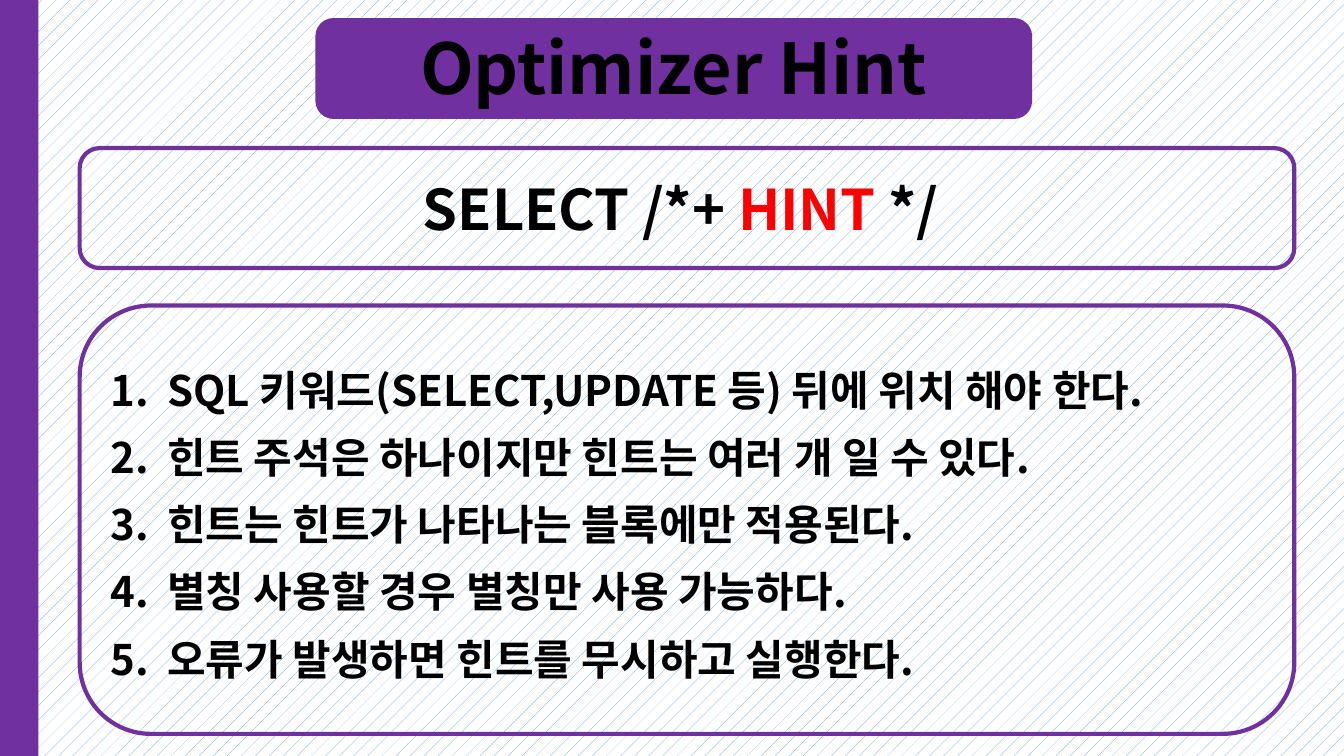
from dataclasses import dataclass
from typing import Optional

from lxml.etree import SubElement
from pptx import Presentation
from pptx.dml.color import RGBColor
from pptx.enum.dml import MSO_PATTERN
from pptx.enum.shapes import MSO_SHAPE as Preset
from pptx.enum.text import MSO_ANCHOR as Anchor, MSO_AUTO_SIZE as AutoSize, PP_ALIGN as Align
from pptx.oxml.ns import qn
from pptx.util import Pt

FONT = "Noto Sans CJK KR"
PURPLE, BLACK, RED = "7030A0", "000000", "FF0000"
PANEL_LEFT, PANEL_WIDTH = 56.9, 867.6
LIST_INDENT = 40.5
RULES = [
    "SQL 키워드(SELECT,UPDATE 등) 뒤에 위치 해야 한다.",
    "힌트 주석은 하나이지만 힌트는 여러 개 일 수 있다.",
    "힌트는 힌트가 나타나는 블록에만 적용된다.",
    "별칭 사용할 경우 별칭만 사용 가능하다.",
    "오류가 발생하면 힌트를 무시하고 실행한다.",
]


@dataclass
class Panel:
    left: float
    top: float
    width: float
    height: float
    preset: Preset = Preset.ROUNDED_RECTANGLE
    fill: Optional[str] = None
    line: Optional[str] = PURPLE


SIDEBAR = Panel(0, 0, 27.4, 540, Preset.RECTANGLE, PURPLE, None)
TITLE = Panel(226.8, 14.4, 509, 69.1, fill=PURPLE)
SYNTAX = Panel(PANEL_LEFT, 105.8, PANEL_WIDTH, 85.7)
RULE_LIST = Panel(PANEL_LEFT, 218.2, PANEL_WIDTH, 306)


def color(hex_value: str) -> RGBColor:
    return RGBColor.from_string(hex_value)


def set_attributes(target, values: dict) -> None:
    for name, value in values.items():
        setattr(target, name, value)


def draw_panel(slide, panel: Panel):
    shape = slide.shapes.add_shape(
        panel.preset, Pt(panel.left), Pt(panel.top), Pt(panel.width), Pt(panel.height)
    )
    shape.shadow.inherit = False
    if panel.fill:
        shape.fill.solid()
        shape.fill.fore_color.rgb = color(panel.fill)
    else:
        shape.fill.background()
    if panel.line:
        shape.line.color.rgb = color(panel.line)
        shape.line.width = Pt(3)
    else:
        shape.line.fill.background()
    return shape


def place_on_panel(placeholder, panel: Panel) -> None:
    set_attributes(placeholder, {
        "left": Pt(panel.left), "top": Pt(panel.top),
        "width": Pt(panel.width), "height": Pt(panel.height),
    })
    tree = placeholder.element.getparent()
    tree.append(placeholder.element)


def format_frame(frame, left: float = 7.2, top: float = 3.6, bottom: float = 3.6) -> None:
    set_attributes(frame, {
        "word_wrap": True, "auto_size": AutoSize.NONE, "vertical_anchor": Anchor.MIDDLE,
        "margin_left": Pt(left), "margin_right": Pt(left),
        "margin_top": Pt(top), "margin_bottom": Pt(bottom),
    })


def add_text(paragraph, text: str, size: float, text_color: str = BLACK) -> None:
    run = paragraph.add_run()
    run.text = text
    set_attributes(run.font, {"name": FONT, "size": Pt(size), "bold": True})
    run.font.color.rgb = color(text_color)
    SubElement(run.font._element, qn("a:ea"), typeface=FONT)


def add_number(paragraph) -> None:
    properties = paragraph._p.get_or_add_pPr()
    properties.set("marL", str(Pt(LIST_INDENT)))
    properties.set("indent", str(Pt(-LIST_INDENT)))
    SubElement(properties, qn("a:buFont"), typeface=FONT)
    SubElement(properties, qn("a:buAutoNum"), type="arabicPeriod")


def fill_title(slide) -> None:
    title = slide.shapes.title
    place_on_panel(title, TITLE)
    format_frame(title.text_frame, top=0)
    paragraph = title.text_frame.paragraphs[0]
    paragraph.alignment = Align.CENTER
    add_text(paragraph, "Optimizer Hint", 50)


def fill_syntax(shape) -> None:
    format_frame(shape.text_frame)
    paragraph = shape.text_frame.paragraphs[0]
    paragraph.alignment = Align.CENTER
    for text, text_color in (("SELECT /*+ ", BLACK), ("HINT", RED), (" */ ", BLACK)):
        add_text(paragraph, text, 40, text_color)


def fill_rules(slide) -> None:
    body = slide.placeholders[1]
    place_on_panel(body, RULE_LIST)
    frame = body.text_frame
    format_frame(frame, left=22, top=9.6)
    for index, rule in enumerate(RULES):
        paragraph = frame.add_paragraph() if index else frame.paragraphs[0]
        set_attributes(paragraph, {
            "alignment": Align.LEFT, "line_spacing": Pt(36),
            "space_before": Pt(6), "space_after": Pt(6),
        })
        add_number(paragraph)
        add_text(paragraph, rule, 30)


def main() -> None:
    presentation = Presentation()
    set_attributes(presentation, {"slide_width": Pt(960), "slide_height": Pt(540)})
    slide = presentation.slides.add_slide(presentation.slide_layouts[1])
    background = slide.background.fill
    background.patterned()
    background.pattern = MSO_PATTERN.PERCENT_5
    background.fore_color.rgb = color("5B9BD5")
    background.back_color.rgb = color("FFFFFF")

    for panel in (SIDEBAR, TITLE, RULE_LIST):
        draw_panel(slide, panel)
    fill_title(slide)
    fill_syntax(draw_panel(slide, SYNTAX))
    fill_rules(slide)
    presentation.save("out.pptx")


if __name__ == "__main__":
    main()
